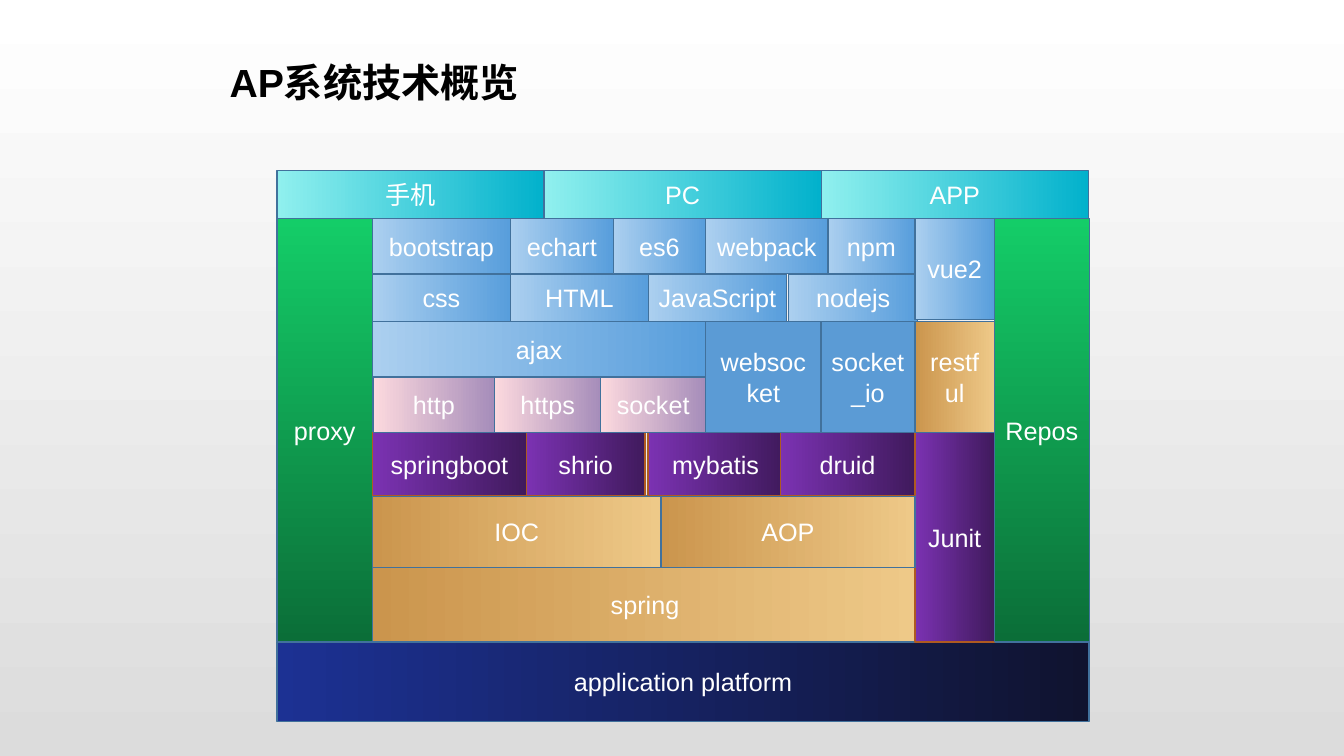
from pptx import Presentation
from pptx.util import Pt
from pptx.dml.color import RGBColor
from pptx.enum.shapes import MSO_SHAPE
from pptx.enum.text import MSO_ANCHOR, PP_ALIGN

RECT = MSO_SHAPE.RECTANGLE
MIDDLE = MSO_ANCHOR.MIDDLE
LEFT = PP_ALIGN.LEFT
CENTER = PP_ALIGN.CENTER

THEME = {
    "font": "Arial",
    "title": (28, "000000"),
    "label": (18, "FFFFFF"),
    "back": ("FFFFFF", "DCDCDC"),
    "edge": "41719C",
    "rust": "AE5A21",
    "navy": ("1C3193", "10132F"),
    "green": ("14CD68", "0B6E38"),
    "gold": ("CB954D", "EEC988"),
    "violet": ("7B32B2", "401A5D"),
    "pink": ("FCD9DE", "A68DBA"),
    "sky": ("ABCFEF", "589EDC"),
    "blue": ("5B9BD5",),
    "aqua": ("90F0EE", "02B1CC"),
}

ROWS = [
    ("navy", 458.6, 56.9, [("application platform", 198, 580.3)]),
    ("green", 155.9, 302.5, [("proxy", 198, 68.2)]),
    ("gold", 405.4, 53.2, [("spring", 266.2, 389.6)]),
    ("violet", 308.9, 149.7, [("Junit", 653.8, 56.9)]),
    ("gold", 354.2, 51.2, [("IOC", 266.2, 206.1), ("AOP", 472.3, 181.5)]),
    ("violet", 308.9, 45.3, [("springboot", 266.2, 110), ("shrio", 376.2, 84.8),
                             ("mybatis", 463.2, 96.5), ("druid", 557.6, 96.2)]),
    ("pink", 269.3, 39.6, [("http", 266.9, 86.4), ("https", 353.3, 76.1),
                           ("socket", 429.4, 74.9)]),
    ("gold", 229.7, 79.2, [("restful", 653.8, 56.9)]),
    ("sky", 229.7, 39.6, [("ajax", 266.2, 238.1)]),
    ("sky", 195.8, 33.9, [("css", 266.2, 98.6), ("HTML", 364.8, 98.6),
                          ("JavaScript", 463.4, 98.6), ("nodejs", 563.6, 92.2)]),
    ("sky", 155.9, 39.6, [("bootstrap", 266.2, 98.5), ("echart", 364.7, 73.6),
                          ("es6", 438.3, 66), ("webpack", 504.3, 87.4),
                          ("npm", 591.7, 62.1)]),
    ("blue", 229.7, 79.2, [("websocket", 504.3, 82.4), ("socket_io", 586.7, 67.1)]),
    ("green", 155.9, 302.5, [("Repos", 710.7, 67.8)]),
    ("sky", 155.9, 72.3, [("vue2", 653.8, 56.9)]),
    ("aqua", 121.7, 34.2, [("手机", 198, 190.8), ("PC", 388.8, 198.2),
                           ("APP", 587, 190.8)]),
]


def paint(fill, tones, angle):
    if len(tones) == 1:
        fill.solid()
        fill.fore_color.rgb = RGBColor.from_string(tones[0])
        return
    fill.gradient()
    fill.gradient_angle = angle
    for stop, tone in zip(fill.gradient_stops, tones):
        stop.color.rgb = RGBColor.from_string(tone)


def write(shape, text, style, align):
    frame = shape.text_frame
    frame.text = text
    frame.word_wrap = True
    frame.vertical_anchor = MIDDLE
    line = frame.paragraphs[0]
    line.alignment = align
    font = line.runs[0].font
    size, tone = THEME[style]
    font.name = THEME["font"]
    font.size = Pt(size)
    font.bold = style == "title"
    font.color.rgb = RGBColor.from_string(tone)


deck = Presentation()
deck.slide_width = Pt(960.5)
deck.slide_height = Pt(540)
slide = deck.slides.add_slide(deck.slide_layouts[5])
paint(slide.background.fill, THEME["back"], 270)

title = slide.shapes.title
title.left, title.top, title.width, title.height = Pt(156.2), Pt(13.7), Pt(648), Pt(90)
write(title, "AP系统技术概览", "title", LEFT)
title.text_frame.margin_left = Pt(7.9)
title.text_frame.margin_right = Pt(5.8)

stack = slide.shapes.add_group_shape()
for kind, top, height, cells in ROWS:
    edge = THEME["rust" if kind == "violet" else "edge"]
    angle = 270 if kind == "green" else 0
    for name, left, width in cells:
        block = stack.shapes.add_shape(RECT, Pt(left), Pt(top), Pt(width), Pt(height))
        block.shadow.inherit = False
        paint(block.fill, THEME[kind], angle)
        block.line.color.rgb = RGBColor.from_string(edge)
        block.line.width = Pt(1)
        write(block, name, "label", CENTER)

deck.save("out.pptx")
